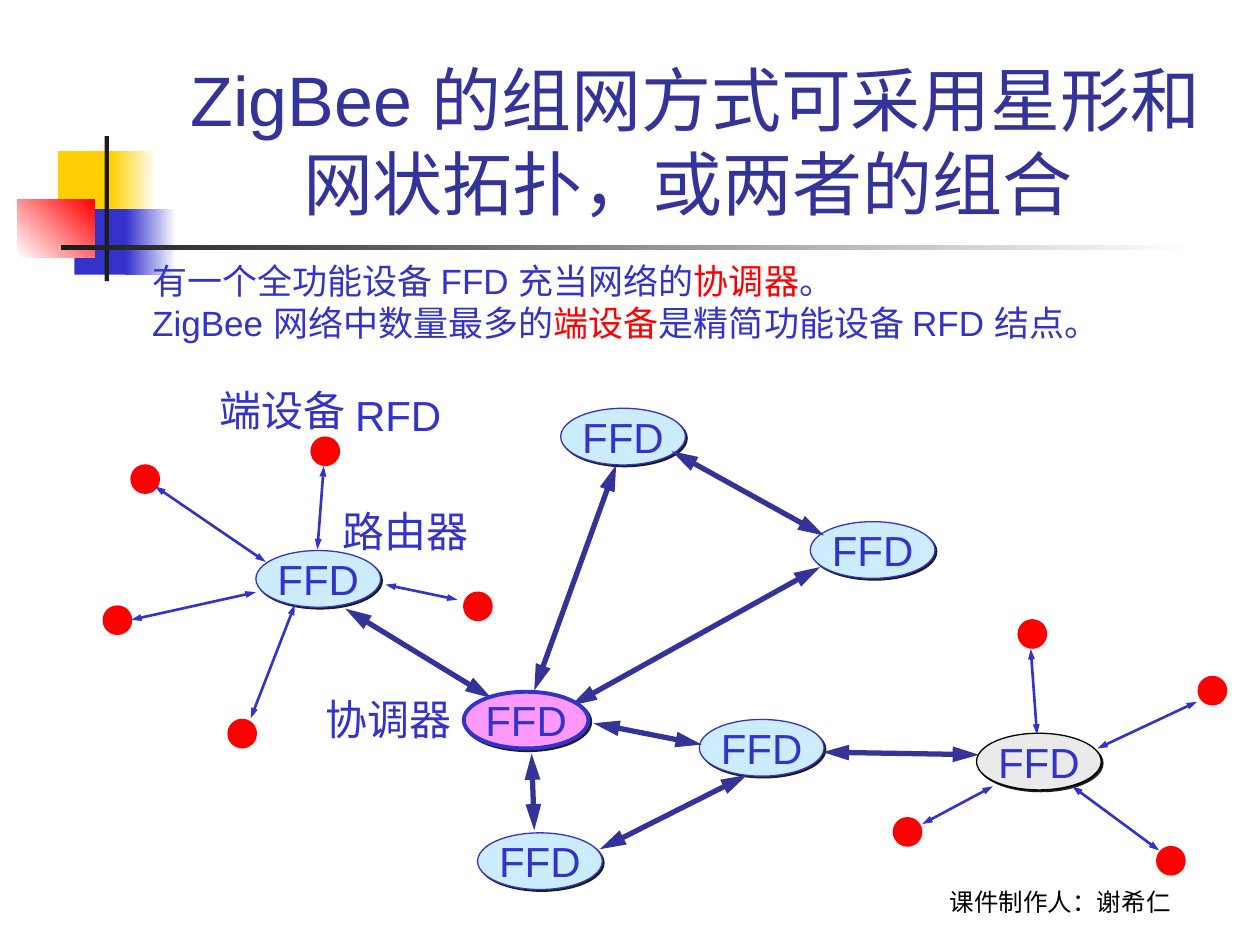
from typing import NamedTuple, Optional

from lxml.etree import SubElement
from pptx import Presentation
from pptx.dml.color import RGBColor
from pptx.enum.shapes import MSO_CONNECTOR as Connector, MSO_SHAPE as Preset
from pptx.enum.text import MSO_ANCHOR as Anchor, MSO_AUTO_SIZE as AutoSize, PP_ALIGN as Align
from pptx.oxml.ns import qn
from pptx.util import Pt

WHITE = RGBColor(0xFF, 0xFF, 0xFF)
BLACK = RGBColor(0x00, 0x00, 0x00)
CHARCOAL = RGBColor(0x1C, 0x1C, 0x1C)
YELLOW = RGBColor(0xFF, 0xCF, 0x01)
RED = RGBColor(0xFF, 0x00, 0x00)
BLUE = RGBColor(0x33, 0x33, 0xCC)
NAVY = RGBColor(0x33, 0x33, 0x99)
PALE_BLUE = RGBColor(0xCC, 0xEC, 0xFF)
GRAY = RGBColor(0xEA, 0xEA, 0xEA)
PINK = RGBColor(0xFF, 0x99, 0xFF)

NODE_WIDTH, NODE_HEIGHT = 71.3, 32.4
DEVICE_SIZE = 16.2


class Block(NamedTuple):
    left: float
    top: float
    width: float
    height: float
    color: RGBColor
    fade_to: Optional[RGBColor] = None
    angle: float = 0


class Node(NamedTuple):
    left: float
    top: float
    fill: RGBColor = PALE_BLUE
    line: RGBColor = BLUE
    line_width: float = 0.75


class Link(NamedTuple):
    x1: float
    y1: float
    x2: float
    y2: float


class LinkStyle(NamedTuple):
    color: RGBColor
    width: float
    head_width: str
    head_length: str


class Run(NamedTuple):
    text: str
    color: RGBColor = BLUE
    font: str = "Arial"


class TextBox(NamedTuple):
    left: float
    top: float
    width: float
    height: float
    size: float
    paragraphs: list[list[Run]]
    align: Align = Align.LEFT
    anchor: Anchor = Anchor.TOP
    wrap: bool = False


BLOCKS = [
    Block(33.1, 86.4, 34.6, 37.4, YELLOW),
    Block(63.4, 86.4, 25.9, 37.4, YELLOW, WHITE),
    Block(42.5, 119.5, 33.1, 37.4, BLUE),
    Block(72, 119.5, 28.8, 37.4, BLUE, WHITE),
    Block(10, 113.8, 44, 33.1, WHITE, RED, 45),
    Block(59.8, 77.8, 2.4, 82.8, CHARCOAL),
    Block(34.6, 140.2, 648, 2.4, CHARCOAL, WHITE),
]

DEVICES = [
    (177.8, 249.8), (661, 483.8), (510.5, 467.3), (684.7, 386.6), (581.8, 354.2),
    (74.9, 265.7), (59, 346.3), (130.3, 411.1), (265, 338.4),
]

NODES = [
    Node(146.2, 314.6),
    Node(272.9, 475.9),
    Node(463, 298.1),
    Node(320.4, 233.3),
    Node(558, 419, GRAY, BLACK),
    Node(399.6, 411.1),
]
COORDINATOR = Node(265, 395.3, PINK, BLUE, 2.25)

MESH_STYLE = LinkStyle(NAVY, 3, "med", "lg")
MESH_LINKS = [
    Link(352.1, 265.7, 305.3, 394.6),
    Link(197.3, 347.8, 280.8, 398.9),
    Link(383.8, 257.8, 470.9, 306),
    Link(468.7, 324, 326.2, 403.2),
    Link(303.8, 430.6, 305.3, 474.5),
    Link(401, 425.5, 339.1, 413.3),
    Link(559.4, 431.3, 470.2, 429.8),
    Link(427, 442.8, 342.7, 485.3),
]
STAR_STYLE = LinkStyle(BLUE, 1.5, "sm", "med")
STAR_LINKS = [
    Link(88.6, 277.9, 151.9, 321.1),
    Link(220.3, 334.1, 261.4, 342.7),
    Link(185, 266.4, 181.4, 313.9),
    Link(74.9, 354.2, 146.2, 338.4),
    Link(684, 401, 627.1, 427.7),
    Link(589, 370.8, 592.6, 419.8),
    Link(168.5, 345.6, 143.3, 410.4),
    Link(612.7, 449.3, 662.4, 486),
    Link(567.4, 449.3, 527, 470.9),
]

TEXT_BOXES = [
    TextBox(491.8, 491, 228.2, 36, 14, [[Run("课件制作人：谢希仁", BLACK, "Lato")]],
            Align.CENTER, Anchor.BOTTOM, True),
    TextBox(90.7, 16.6, 613.4, 115.2, 40,
            [[Run("ZigBee 的组网方式可采用星形和网状拓扑，或两者的组合 ", NAVY)]],
            Align.CENTER, Anchor.BOTTOM, True),
    TextBox(195.8, 218.9, 68, 36, 24, [[Run("RFD")]]),
    TextBox(118.4, 216, 88, 36, 24, [[Run("端设备")]]),
    TextBox(188.6, 285.1, 88, 36, 24, [[Run("路由器")]]),
    TextBox(179, 392.8, 88, 36, 24, [[Run("协调器")]]),
    TextBox(79.9, 145, 588, 55.4, 20, [
        [Run("有一个全功能设备 FFD 充当"), Run("网络的", font="Lato"),
         Run("协调器", RED, "Lato"), Run("。", font="Lato")],
        [Run("ZigBee 网络中数量最多的"), Run("端设备", RED), Run("是精简功能设备 RFD 结点。")],
    ]),
]


def add_run(paragraph, run: Run, size: float) -> None:
    text_run = paragraph.add_run()
    text_run.text = run.text
    text_run.font.size = Pt(size)
    text_run.font.name = run.font
    text_run.font.color.rgb = run.color


def draw_block(slide, block: Block) -> None:
    shape = slide.shapes.add_shape(Preset.RECTANGLE, *map(Pt, block[:4]))
    shape.shadow.inherit = False
    shape.line.fill.background()
    if block.fade_to is None:
        shape.fill.solid()
        shape.fill.fore_color.rgb = block.color
        return
    shape.fill.gradient()
    shape.fill.gradient_angle = block.angle
    for stop, color in zip(shape.fill.gradient_stops, (block.color, block.fade_to)):
        stop.color.rgb = color


def draw_ellipse(slide, node: Node, width: float, height: float):
    shape = slide.shapes.add_shape(Preset.OVAL, *map(Pt, (node.left, node.top, width, height)))
    shape.shadow.inherit = False
    shape.fill.solid()
    shape.fill.fore_color.rgb = node.fill
    shape.line.color.rgb = node.line
    shape.line.width = Pt(node.line_width)
    return shape


def draw_node(slide, node: Node) -> None:
    shape = draw_ellipse(slide, node, NODE_WIDTH, NODE_HEIGHT)
    effects = shape.element.spPr.find(qn("a:effectLst"))
    shadow = SubElement(effects, qn("a:outerShdw"), dist=str(Pt(1.4)), dir="2700000", algn="ctr")
    SubElement(shadow, qn("a:srgbClr"), val=str(CHARCOAL))
    frame = shape.text_frame
    frame.word_wrap = False
    frame.vertical_anchor = Anchor.MIDDLE
    paragraph = frame.paragraphs[0]
    paragraph.alignment = Align.CENTER
    add_run(paragraph, Run("FFD"), 24)


def draw_link(slide, link: Link, style: LinkStyle) -> None:
    connector = slide.shapes.add_connector(Connector.STRAIGHT, *map(Pt, link))
    connector.line.color.rgb = style.color
    connector.line.width = Pt(style.width)
    properties = connector.element.spPr
    line = properties.find(qn("a:ln"))
    for end in ("a:headEnd", "a:tailEnd"):
        SubElement(line, qn(end), type="triangle", w=style.head_width, len=style.head_length)
    SubElement(properties, qn("a:effectLst"))


def draw_text(slide, box: TextBox) -> None:
    frame = slide.shapes.add_textbox(*map(Pt, box[:4])).text_frame
    frame.word_wrap = box.wrap
    frame.vertical_anchor = box.anchor
    frame.auto_size = AutoSize.NONE if box.wrap else AutoSize.SHAPE_TO_FIT_TEXT
    for index, runs in enumerate(box.paragraphs):
        paragraph = frame.add_paragraph() if index else frame.paragraphs[0]
        paragraph.alignment = box.align
        for run in runs:
            add_run(paragraph, run, box.size)


def main() -> None:
    presentation = Presentation()
    presentation.slide_width, presentation.slide_height = Pt(720), Pt(540)
    slide = presentation.slides.add_slide(presentation.slide_layouts[6])
    for block in BLOCKS:
        draw_block(slide, block)
    for left, top in DEVICES:
        draw_ellipse(slide, Node(left, top, RED, RED), DEVICE_SIZE, DEVICE_SIZE)
    for node in NODES:
        draw_node(slide, node)
    for links, style in ((MESH_LINKS, MESH_STYLE), (STAR_LINKS, STAR_STYLE)):
        for link in links:
            draw_link(slide, link, style)
    draw_node(slide, COORDINATOR)
    for box in TEXT_BOXES:
        draw_text(slide, box)
    presentation.save("out.pptx")


if __name__ == "__main__":
    main()
